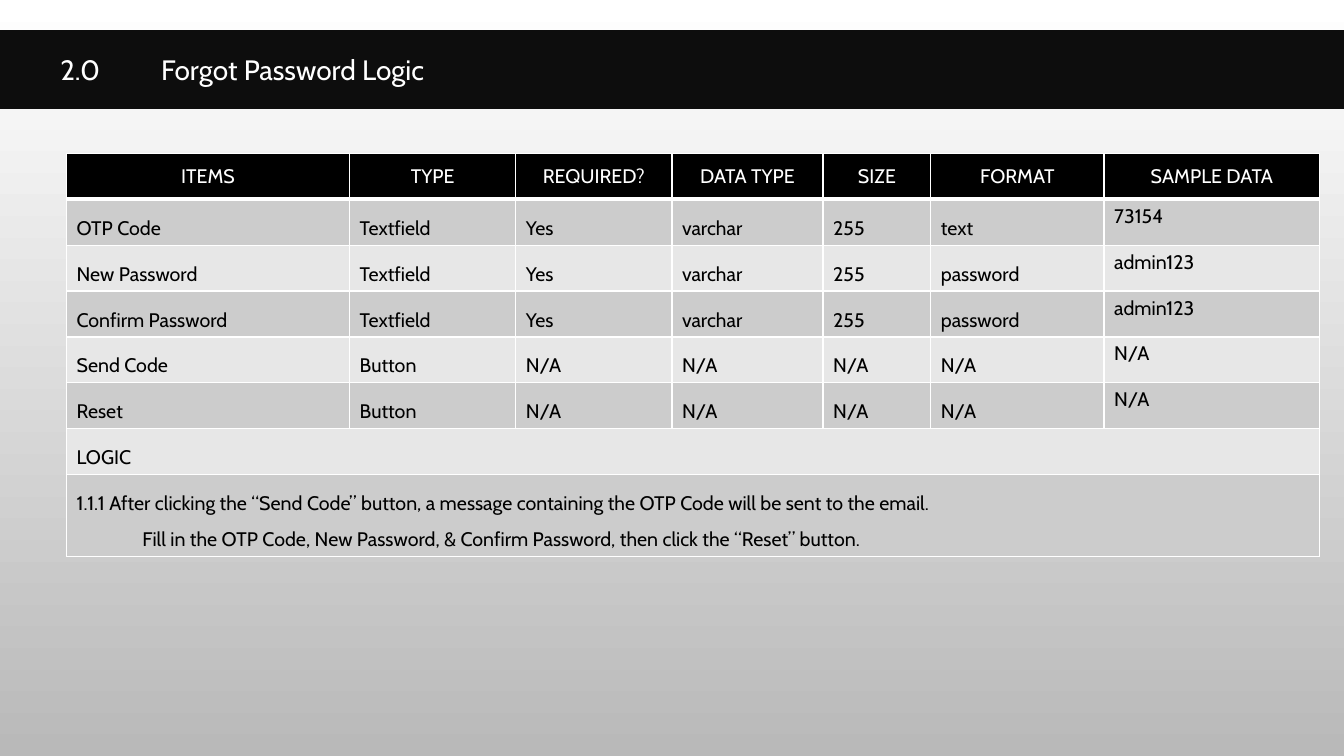
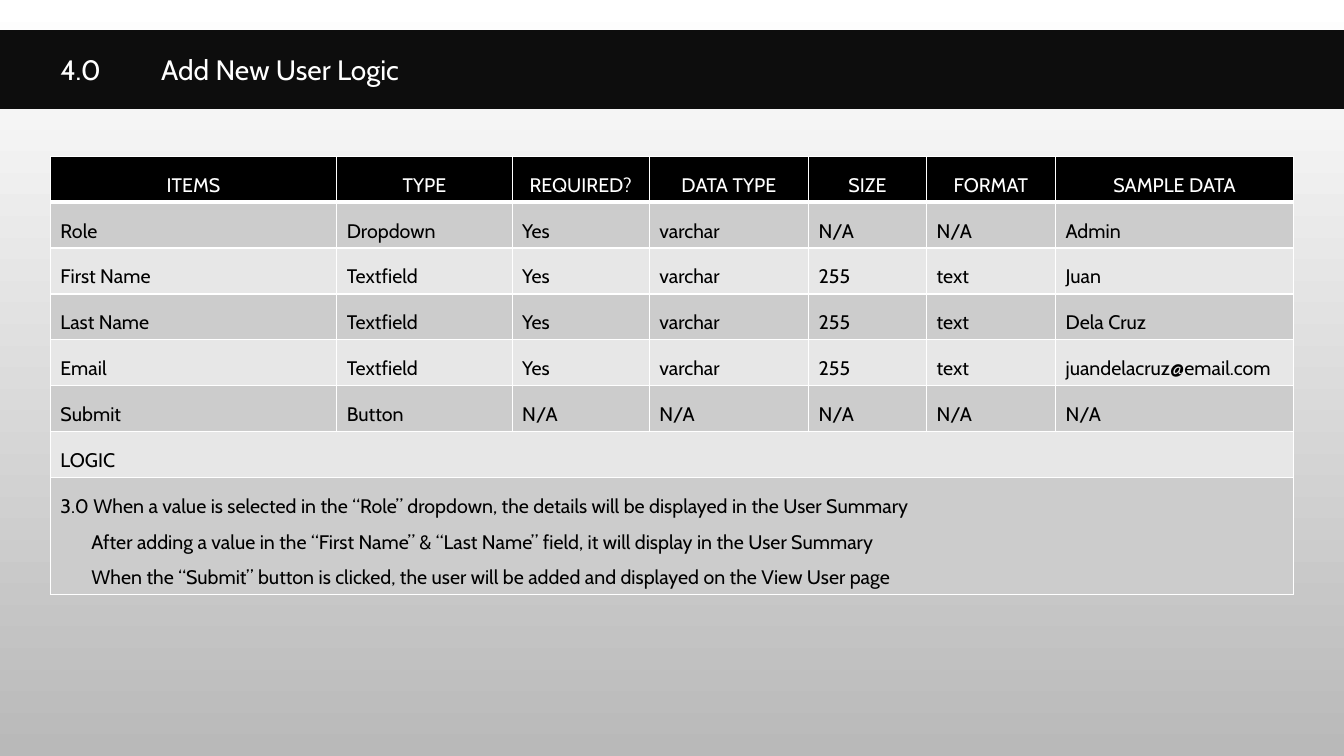
"""Build two form-logic slides, each a title band above a field specification table."""
import dataclasses

import lxml.etree
import pptx
import pptx.dml.color
import pptx.enum.shapes
import pptx.enum.text
import pptx.oxml.ns
import pptx.slide
import pptx.table
import pptx.text.text
import pptx.util

WHITE = pptx.dml.color.RGBColor(0xFF, 0xFF, 0xFF)
BLACK = pptx.dml.color.RGBColor(0x00, 0x00, 0x00)
BAND_BLACK = pptx.dml.color.RGBColor(0x0D, 0x0D, 0x0D)
BACKDROP_GREY = pptx.dml.color.RGBColor(0xB9, 0xB9, 0xB9)
DARK_ROW = pptx.dml.color.RGBColor(0xCC, 0xCC, 0xCC)
LIGHT_ROW = pptx.dml.color.RGBColor(0xE7, 0xE7, 0xE7)

SLIDE_WIDTH = pptx.util.Inches(13.33)
SLIDE_HEIGHT = pptx.util.Inches(7.5)
ROW_PERCENT = 5.6

BASE_FONT = {"name": "Cabin", "bold": False}
TITLE_FONT = {**BASE_FONT, "size": pptx.util.Pt(20)}
TABLE_FONT = {**BASE_FONT, "size": pptx.util.Pt(14)}

TOP = pptx.enum.text.MSO_ANCHOR.TOP
MIDDLE = pptx.enum.text.MSO_ANCHOR.MIDDLE
LEFT = pptx.enum.text.PP_ALIGN.LEFT
CENTER = pptx.enum.text.PP_ALIGN.CENTER

HEADINGS = ("ITEMS", "TYPE", "REQUIRED?", "DATA TYPE", "SIZE", "FORMAT", "SAMPLE DATA")
NOT_APPLICABLE = ("N/A",) * 5


@dataclasses.dataclass(frozen=True)
class LogicPage:
    """A numbered form; lengths are percentages of the slide's size."""

    number: str
    title: str
    left: float
    top: float
    width: float
    column_weights: tuple[float, ...]
    fields: tuple[tuple[str, ...], ...]
    logic: tuple[str, ...]
    logic_indent: float
    header_percent: float = ROW_PERCENT
    header_spacing: float = 1.5
    sample_spacing: float = 1.5
    body_anchor: pptx.enum.text.MSO_ANCHOR = MIDDLE


PAGES = (
    LogicPage(
        number="2.0",
        title="Forgot Password Logic",
        left=4.95,
        top=20.27,
        width=93.25,
        column_weights=(2.81, 1.65, 1.55, 1.5, 1.07, 1.72, 2.14),
        fields=(
            ("OTP Code", "Textfield", "Yes", "varchar", "255", "text", "73154"),
            ("New Password", "Textfield", "Yes", "varchar", "255", "password", "admin123"),
            ("Confirm Password", "Textfield", "Yes", "varchar", "255", "password", "admin123"),
            ("Send Code", "Button", *NOT_APPLICABLE),
            ("Reset", "Button", *NOT_APPLICABLE),
        ),
        logic=(
            "1.1.1 After clicking the “Send Code” button, a message containing the OTP Code "
            "will be sent to the email.",
            "Fill in the OTP Code, New Password, & Confirm Password, then click the “Reset” button.",
        ),
        logic_indent=4.9,
        header_percent=6.1,
        header_spacing=1.0,
        sample_spacing=1.0,
        body_anchor=TOP,
    ),
    LogicPage(
        number="4.0",
        title="Add New User Logic",
        left=3.75,
        top=20.67,
        width=92.5,
        column_weights=(2.84, 1.74, 1.36, 1.58, 1.17, 1.28, 2.36),
        fields=(
            ("Role", "Dropdown", "Yes", "varchar", "N/A", "N/A", "Admin"),
            ("First Name", "Textfield", "Yes", "varchar", "255", "text", "Juan"),
            ("Last Name", "Textfield", "Yes", "varchar", "255", "text", "Dela Cruz"),
            ("Email", "Textfield", "Yes", "varchar", "255", "text", "juandelacruz@email.com"),
            ("Submit", "Button", *NOT_APPLICABLE),
        ),
        logic=(
            "3.0 When a value is selected in the “Role” dropdown, the details will be displayed "
            "in the User Summary",
            "After adding a value in the “First Name” & “Last Name” field, it will display "
            "in the User Summary",
            "When the “Submit” button is clicked, the user will be added and displayed "
            "on the View User page",
        ),
        logic_indent=2.3,
    ),
)


def across(percent: float) -> int:
    """Return a share of the slide's width."""
    return round(SLIDE_WIDTH * percent / 100)


def down(percent: float) -> int:
    """Return a share of the slide's height."""
    return round(SLIDE_HEIGHT * percent / 100)


def style_font(
    paragraph: pptx.text.text._Paragraph, values: dict, color: pptx.dml.color.RGBColor
) -> None:
    """Apply font values and a colour to every run of a paragraph."""
    for run in paragraph.runs:
        for attribute, value in values.items():
            setattr(run.font, attribute, value)
        run.font.color.rgb = color


def indent(paragraph: pptx.text.text._Paragraph, length: int) -> None:
    """Set the left margin of a whole paragraph."""
    properties = paragraph._p.get_or_add_pPr()
    properties.set("marL", str(length))
    properties.set("indent", "0")


def paint_backdrop(slide: pptx.slide.Slide) -> None:
    """Fill the background from white down to grey."""
    fill = slide.background.fill
    fill.gradient()
    fill.gradient_angle = 270
    for stop, color in zip(fill.gradient_stops, (WHITE, BACKDROP_GREY)):
        stop.color.rgb = color


def add_title_band(slide: pptx.slide.Slide, page: LogicPage) -> None:
    """Draw the full-width band with the number and title."""
    band = slide.shapes.add_shape(
        pptx.enum.shapes.MSO_SHAPE.RECTANGLE, 0, down(4), SLIDE_WIDTH, down(10.4)
    )
    band.shadow.inherit = False
    band.fill.solid()
    band.fill.fore_color.rgb = BAND_BLACK
    band.line.fill.background()
    band.text_frame.word_wrap = True
    band.text_frame.vertical_anchor = MIDDLE
    heading = band.text_frame.paragraphs[0]
    heading.text = f"{page.number}\t\t{page.title}"
    heading.level = 1
    heading.alignment = LEFT
    half_inch = pptx.util.Inches(0.5)
    indent(heading, half_inch)
    heading._p.get_or_add_pPr().set("defTabSz", str(half_inch))
    style_font(heading, TITLE_FONT, WHITE)


def style_cell(
    cell: pptx.table._Cell, color: pptx.dml.color.RGBColor, top_width: float, bottom_width: float
) -> None:
    """Give a cell its white borders and its fill."""
    properties = cell._tc.get_or_add_tcPr()
    for side, width in {"lnL": 1, "lnR": 1, "lnT": top_width, "lnB": bottom_width}.items():
        border = lxml.etree.SubElement(
            properties, pptx.oxml.ns.qn(f"a:{side}"), w=str(pptx.util.Pt(width))
        )
        solid = lxml.etree.SubElement(border, pptx.oxml.ns.qn("a:solidFill"))
        lxml.etree.SubElement(solid, pptx.oxml.ns.qn("a:srgbClr"), val=str(WHITE))
    cell.fill.solid()
    cell.fill.fore_color.rgb = color


def write_cell(
    cell: pptx.table._Cell,
    lines: tuple[str, ...],
    color: pptx.dml.color.RGBColor,
    spacing: float,
    anchor: pptx.enum.text.MSO_ANCHOR,
    alignment: pptx.enum.text.PP_ALIGN = LEFT,
    hanging: int = 0,
) -> None:
    """Write one paragraph per line, indenting those after the first."""
    cell.vertical_anchor = anchor
    cell.text = "\n".join(lines)
    for position, paragraph in enumerate(cell.text_frame.paragraphs):
        paragraph.line_spacing = spacing
        paragraph.alignment = alignment
        if position:
            indent(paragraph, hanging)
        style_font(paragraph, TABLE_FONT, color)


def add_field_table(slide: pptx.slide.Slide, page: LogicPage) -> None:
    """Draw the headings, field rows and merged logic rows."""
    last_column = len(HEADINGS) - 1
    row_count = len(page.fields) + 3
    heights = [page.header_percent] + [ROW_PERCENT] * (row_count - 1)
    table = slide.shapes.add_table(
        row_count,
        len(HEADINGS),
        across(page.left),
        down(page.top),
        across(page.width),
        down(sum(heights)),
    ).table
    table.horz_banding = False
    for column, weight in zip(table.columns, page.column_weights):
        column.width = across(page.width * weight / sum(page.column_weights))
    for index, (row, height) in enumerate(zip(table.rows, heights)):
        row.height = down(height)
        body_color = DARK_ROW if index % 2 else LIGHT_ROW
        for cell in row.cells:
            style_cell(
                cell,
                body_color if index else BLACK,
                top_width=3 if index == 1 else 1,
                bottom_width=1 if index else 3,
            )

    for column, heading in enumerate(HEADINGS):
        write_cell(table.cell(0, column), (heading,), WHITE, page.header_spacing, MIDDLE, CENTER)
    for row, values in enumerate(page.fields, start=1):
        for column, value in enumerate(values):
            spacing = page.sample_spacing if column == last_column else 1.5
            write_cell(table.cell(row, column), (value,), BLACK, spacing, page.body_anchor)
    for row, lines in enumerate((("LOGIC",), page.logic), start=row_count - 2):
        table.cell(row, 0).merge(table.cell(row, last_column))
        write_cell(
            table.cell(row, 0),
            lines,
            BLACK,
            1.5,
            page.body_anchor,
            hanging=across(page.logic_indent),
        )


def main() -> None:
    """Build and save the presentation."""
    deck = pptx.Presentation()
    deck.slide_width = SLIDE_WIDTH
    deck.slide_height = SLIDE_HEIGHT
    for page in PAGES:
        slide = deck.slides.add_slide(deck.slide_layouts[6])
        paint_backdrop(slide)
        add_title_band(slide, page)
        add_field_table(slide, page)
    deck.save("out.pptx")


if __name__ == "__main__":
    main()
